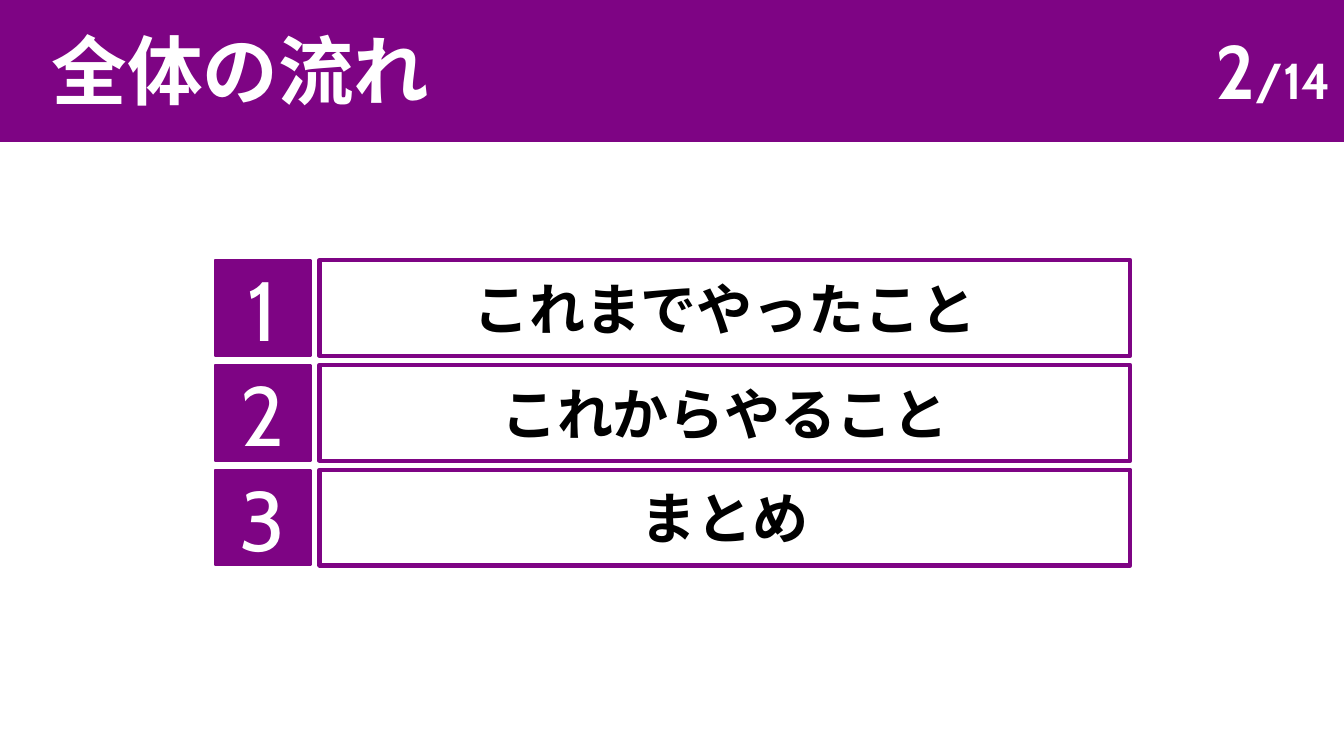
from dataclasses import dataclass

from lxml.etree import SubElement
from pptx import Presentation
from pptx.dml.color import RGBColor
from pptx.enum.shapes import MSO_SHAPE
from pptx.enum.text import MSO_ANCHOR, MSO_AUTO_SIZE, PP_ALIGN
from pptx.oxml.ns import qn
from pptx.util import Inches, Pt

TITLE = "全体の流れ"
PAGE, PAGE_TOTAL = "2", "/14"
AGENDA = ["これまでやったこと", "これからやること", "まとめ"]


@dataclass(frozen=True)
class Theme:
    purple = RGBColor(0x7E, 0x04, 0x84)
    white = RGBColor(0xFF, 0xFF, 0xFF)
    black = RGBColor(0, 0, 0)
    latin = "Cabin"
    japanese = "Noto Sans CJK JP"
    title_size = 54
    total_size = 36
    number_size = 60
    label_size = 40


SLIDE_W, SLIDE_H = 13.33, 7.5
BAND_H = 1.4
HEAD_TOP, HEAD_H = 0.19, 1.01
ROW_TOP, ROW_PITCH, ROW_H = 2.58, 1.04, 0.95
NUMBER_LEFT = 2.13
LABEL_LEFT, LABEL_W = 3.17, 8.04


def format_run(run, size, color, face, bold=True):
    run.font.size = Pt(size)
    run.font.bold = bold
    run.font.color.rgb = color
    run.font.name = face
    east_asian = SubElement(run.font._element, qn("a:ea"))
    east_asian.set("typeface", Theme.japanese)


def add_box(slide, left, top, width, height, fill, line_width):
    box = slide.shapes.add_shape(
        MSO_SHAPE.RECTANGLE, Inches(left), Inches(top), Inches(width), Inches(height)
    )
    box.shadow.inherit = False
    box.fill.solid()
    box.fill.fore_color.rgb = fill
    box.line.color.rgb = Theme.purple
    box.line.width = Pt(line_width)
    return box


def write_centred(box, text, size, color, face, bold):
    frame = box.text_frame
    frame.text = text
    frame.word_wrap = False
    frame.vertical_anchor = MSO_ANCHOR.MIDDLE
    paragraph = frame.paragraphs[0]
    paragraph.alignment = PP_ALIGN.CENTER
    format_run(paragraph.runs[0], size, color, face, bold)


def add_header(slide):
    add_box(slide, 0, 0, SLIDE_W, BAND_H, Theme.purple, 1.5)

    title = slide.shapes.title
    slide.shapes._spTree.append(title._element)  # bring the title above the band
    title.left, title.top = Inches(0.41), Inches(HEAD_TOP)
    title.width, title.height = Inches(3.99), Inches(HEAD_H)
    frame = title.text_frame
    frame.text = TITLE
    frame.word_wrap = False
    frame.auto_size = MSO_AUTO_SIZE.NONE
    frame.vertical_anchor = MSO_ANCHOR.TOP
    frame.paragraphs[0].alignment = PP_ALIGN.LEFT
    format_run(frame.paragraphs[0].runs[0], Theme.title_size, Theme.white, Theme.japanese)

    counter = slide.shapes.add_textbox(
        Inches(8.79), Inches(HEAD_TOP), Inches(4.51), Inches(HEAD_H)
    )
    counter.text_frame.word_wrap = True
    paragraph = counter.text_frame.paragraphs[0]
    paragraph.alignment = PP_ALIGN.RIGHT
    for text, size in [(PAGE, Theme.title_size), (PAGE_TOTAL, Theme.total_size)]:
        run = paragraph.add_run()
        run.text = text
        format_run(run, size, Theme.white, Theme.latin)


def add_agenda(slide):
    for index, label in enumerate(AGENDA):
        top = ROW_TOP + index * ROW_PITCH
        number_box = add_box(slide, NUMBER_LEFT, top, ROW_H, ROW_H, Theme.purple, 1.5)
        write_centred(
            number_box, str(index + 1), Theme.number_size, Theme.white, Theme.latin, False
        )
        label_box = add_box(slide, LABEL_LEFT, top, LABEL_W, ROW_H, Theme.white, 3)
        write_centred(
            label_box, label, Theme.label_size, Theme.black, Theme.japanese, True
        )


def main():
    deck = Presentation()
    deck.slide_width, deck.slide_height = Inches(SLIDE_W), Inches(SLIDE_H)
    slide = deck.slides.add_slide(deck.slide_layouts.get_by_name("Title Only"))
    add_header(slide)
    add_agenda(slide)
    deck.save("out.pptx")


if __name__ == "__main__":
    main()
